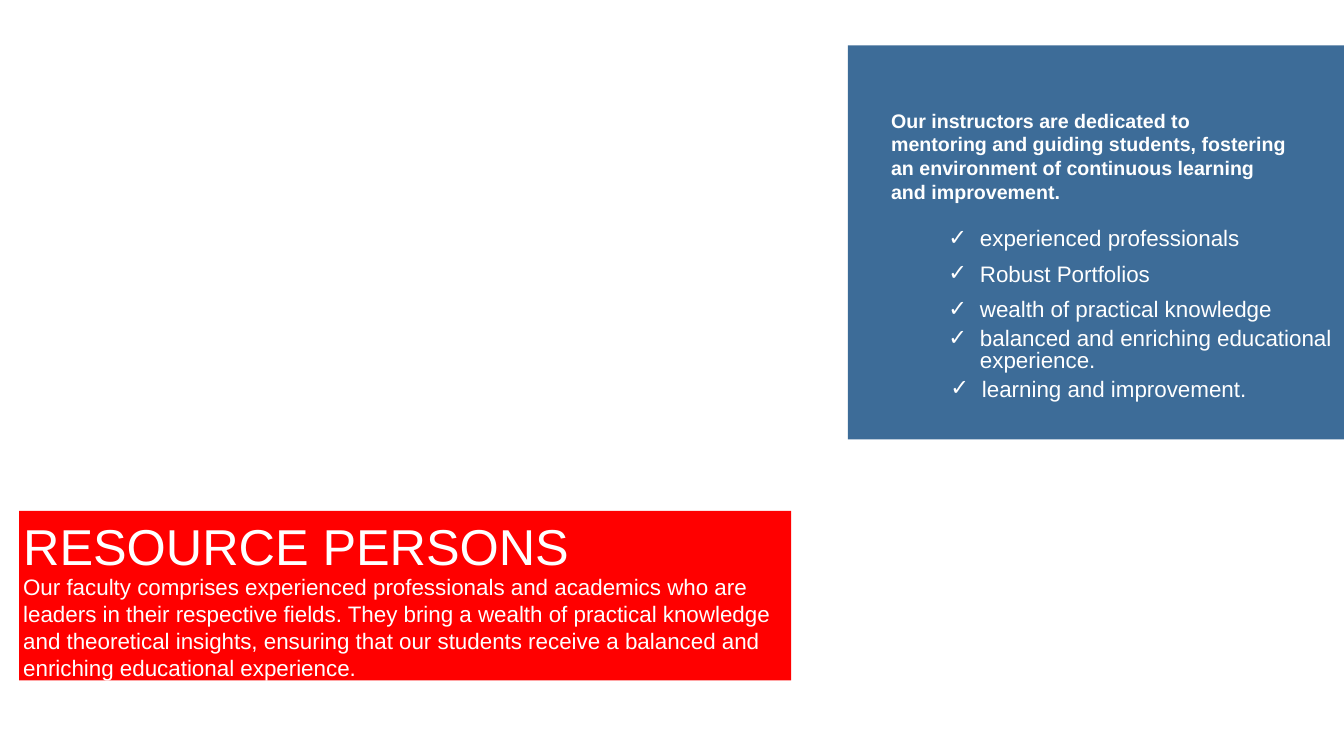
from lxml.etree import SubElement
from pptx import Presentation
from pptx.dml.color import RGBColor
from pptx.enum.shapes import MSO_SHAPE
from pptx.enum.text import MSO_ANCHOR, MSO_AUTO_SIZE, PP_ALIGN
from pptx.oxml.ns import qn
from pptx.util import Pt

COLORS = {"panel": "285D8D", "banner": "FF0000", "text": "FFFFFF"}
FONT = "Arial"
HEADING = "RESOURCE PERSONS"
FACULTY = (
    "Our faculty comprises experienced professionals and academics who are "
    "leaders in their respective fields. They bring a wealth of practical "
    "knowledge and theoretical insights, ensuring that our students receive "
    "a balanced and enriching educational experience."
)
MENTORING = (
    "Our instructors are dedicated to mentoring and guiding students, "
    "fostering an environment of continuous learning and improvement."
)
STRENGTHS = [
    ("experienced professionals", 64.8, 128, 232, 23),
    ("Robust Portfolios", 64.8, 153.4, 214, 23),
    ("wealth of practical knowledge", 64.8, 178.6, 257, 23),
    ("balanced and enriching educational experience.", 64.8, 199.4, 289.4, 38),
    ("learning and improvement.", 66.2, 235.4, 230, 23),
]


def paint(shape, color):
    shape.fill.solid()
    shape.fill.fore_color.rgb = RGBColor.from_string(COLORS[color])


def write(shape, text, size, bold=False):
    frame = shape.text_frame
    frame.text = text
    frame.word_wrap = True
    frame.auto_size = MSO_AUTO_SIZE.NONE
    frame.vertical_anchor = MSO_ANCHOR.TOP
    paragraph = frame.paragraphs[0]
    paragraph.alignment = PP_ALIGN.LEFT
    font = paragraph.runs[0].font
    font.name, font.size, font.bold = FONT, Pt(size), bold
    font.color.rgb = RGBColor.from_string(COLORS["text"])
    return paragraph


def add_text(slide, box, text, size, bold=False):
    textbox = slide.shapes.add_textbox(*map(Pt, box))
    return textbox, write(textbox, text, size, bold)


def set_banner_insets(shape, top):
    frame = shape.text_frame
    frame.margin_left = frame.margin_right = Pt(2.9)
    frame.margin_top, frame.margin_bottom = Pt(top), Pt(0)


def add_check(paragraph):
    paragraph.line_spacing = 0.8
    properties = paragraph._p.get_or_add_pPr()
    properties.set("marL", str(Pt(22.5)))
    properties.set("indent", str(-Pt(22.5)))
    SubElement(properties, qn("a:buFont"), typeface=FONT)
    SubElement(properties, qn("a:buChar"), char="✓")


def build_banner(slide, left, top, width, height):
    heading = slide.shapes.title
    heading.left, heading.top = Pt(left), Pt(top)
    heading.width, heading.height = Pt(width), Pt(height)
    paint(heading, "banner")
    write(heading, HEADING, 36)
    set_banner_insets(heading, 3)
    faculty_box = (left, top + 44.4, width, height - 44.4)
    faculty, _ = add_text(slide, faculty_box, FACULTY, 16)
    set_banner_insets(faculty, 0)


def build_instructor_panel(slide, left, top, width, height):
    panel = slide.shapes.add_shape(
        MSO_SHAPE.RECTANGLE, *map(Pt, (left, top, width, height))
    )
    panel.shadow.inherit = False
    panel.line.fill.background()
    paint(panel, "panel")
    tint = panel.fill._xPr.find(f"{qn('a:solidFill')}/{qn('a:srgbClr')}")
    SubElement(tint, qn("a:alpha"), val="90000")

    mentoring_box = (left + 23.8, top + 41.8, 298, 75)
    add_text(slide, mentoring_box, MENTORING, 14, bold=True)
    for strength, dx, dy, strength_width, strength_height in STRENGTHS:
        box = (left + dx, top + dy, strength_width, strength_height)
        _, paragraph = add_text(slide, box, strength, 16)
        add_check(paragraph)


def main():
    deck = Presentation()
    deck.slide_width, deck.slide_height = Pt(960), Pt(540)
    slide = deck.slides.add_slide(deck.slide_layouts[5])
    build_instructor_panel(slide, 605.6, 32.4, 354.4, 281.5)
    build_banner(slide, 13.7, 365, 551.5, 121)
    deck.save("out.pptx")


if __name__ == "__main__":
    main()
